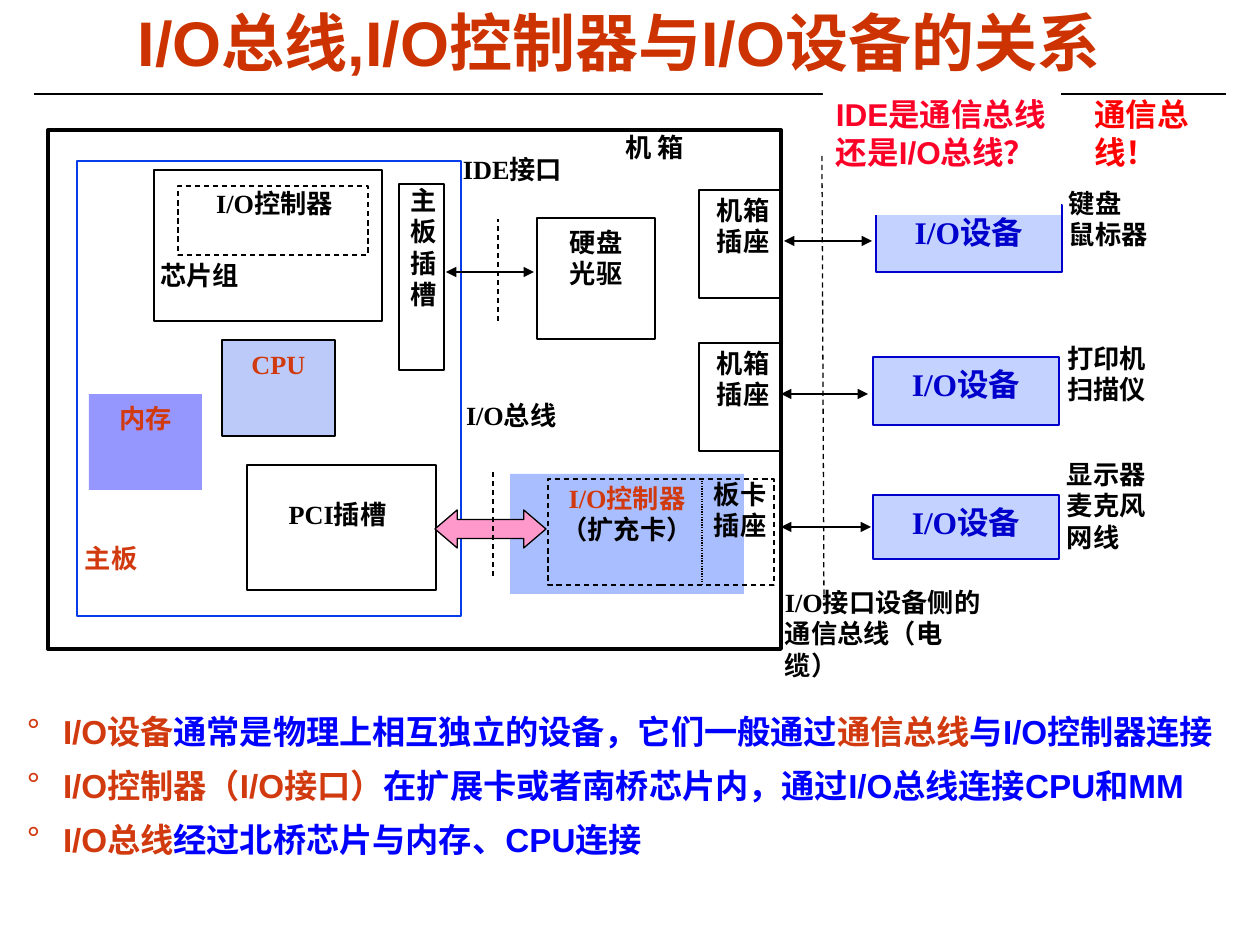
import lxml.etree
import pptx
import pptx.dml.color
import pptx.enum.dml
import pptx.enum.shapes
import pptx.enum.text
import pptx.oxml.ns
import pptx.util

EMU_PER_PX = 914400 / 126
COLORS = {
    "black": "000000", "white": "FFFFFF", "title": "CC3300", "rust": "D1390F",
    "body": "0000FF", "navy": "0000CC", "royal": "063DE8", "sky": "3366FF",
    "pink": "FF99CC", "crimson": "FC0128", "red": "FF0000",
}
SERIF, SANS, CJK = "Times New Roman", "Arial", "Noto Sans CJK SC"
ALIGN = pptx.enum.text.PP_ALIGN
ANCHOR = pptx.enum.text.MSO_ANCHOR
SHAPE = pptx.enum.shapes.MSO_SHAPE
DASH = pptx.enum.dml.MSO_LINE.DASH
DOT = pptx.enum.dml.MSO_LINE.ROUND_DOT


def px(value):
    return pptx.util.Emu(round(value * EMU_PER_PX))


def rgb(name):
    return pptx.dml.color.RGBColor.from_string(COLORS[name])


def add_xml(parent, tag, **attributes):
    return lxml.etree.SubElement(parent, pptx.oxml.ns.qn(tag), attributes)


class Diagram:
    """Holds the text style and the slide being drawn on."""

    def __init__(self, slide):
        self.slide = slide
        self.size = 15
        self.insets = (16, 8)

    def set_text(self, shape, paragraphs, align, size=None, font=SERIF, insets=None,
                 space=0, anchor=ANCHOR.TOP, line_spacing=1.0, bullet=None):
        """Fill a shape with paragraphs, each a list of (text, color) runs."""
        frame = shape.text_frame
        frame.word_wrap = True
        frame.auto_size = pptx.enum.text.MSO_AUTO_SIZE.NONE
        frame.vertical_anchor = anchor
        side, top = insets or self.insets
        frame.margin_left = frame.margin_right = px(side)
        frame.margin_top = frame.margin_bottom = px(top)
        for index, runs in enumerate(paragraphs):
            paragraph = frame.add_paragraph() if index else frame.paragraphs[0]
            if bullet:
                self.bullet(paragraph, bullet)
            paragraph.alignment = align
            paragraph.line_spacing = line_spacing
            paragraph.space_before = pptx.util.Pt(space if index else 0)
            for text, color in runs:
                run = paragraph.add_run()
                run.text = text
                run.font.size = pptx.util.Pt(size or self.size)
                run.font.bold = True
                run.font.color.rgb = rgb(color)
                run.font.name = font
                add_xml(run.font._element, "a:ea", typeface=CJK)

    def bullet(self, paragraph, color):
        properties = paragraph._p.get_or_add_pPr()
        indent = px(36)
        properties.set("marL", str(indent))
        properties.set("indent", str(-indent))
        fill = add_xml(properties, "a:buClr")
        add_xml(fill, "a:srgbClr", val=COLORS[color])
        add_xml(properties, "a:buFont", typeface=SANS)
        add_xml(properties, "a:buChar", char="°")

    def placeholder(self, shape, box, paragraphs, align, **style):
        shape.left, shape.top, shape.width, shape.height = map(px, box)
        self.set_text(shape, paragraphs, align, font=SANS, insets=(9, 4), **style)

    def label(self, box, lines, color="black", align=ALIGN.JUSTIFY, **style):
        shape = self.slide.shapes.add_textbox(*map(px, box))
        self.set_text(shape, [[(line, color)] for line in lines], align, **style)

    def box(self, box, fill=None, alpha=None, line="black", width=0.75, dash=None,
            kind=SHAPE.RECTANGLE):
        shape = self.slide.shapes.add_shape(kind, *map(px, box))
        shape.shadow.inherit = False
        if fill:
            shape.fill.solid()
            shape.fill.fore_color.rgb = rgb(fill)
            if alpha:
                color = shape.fill._xPr.find(".//" + pptx.oxml.ns.qn("a:srgbClr"))
                add_xml(color, "a:alpha", val=str(alpha * 1000))
        else:
            shape.fill.background()
        if line:
            self.stroke(shape.line, line, width, dash)
        else:
            shape.line.fill.background()
        return shape

    def stroke(self, line, color, width, dash):
        line.color.rgb = rgb(color)
        line.width = pptx.util.Pt(width)
        if dash:
            line.dash_style = dash

    def line(self, start, end, width=0.75, dash=None, arrows=False):
        connector = self.slide.shapes.add_connector(
            pptx.enum.shapes.MSO_CONNECTOR.STRAIGHT, *map(px, start + end))
        self.stroke(connector.line, "black", width, dash)
        if arrows:
            for tag in ("a:headEnd", "a:tailEnd"):
                add_xml(connector.line._ln, tag, type="triangle")
        add_xml(connector._element.spPr, "a:effectLst")

    def device(self, top, height, left, arrow):
        """Draw an external device and the cable that reaches it."""
        shape = self.box((left, top, 186, height), "sky", 29, "navy", 1.5)
        self.set_text(shape, [[("I/O设备", "navy")]], ALIGN.CENTER, size=18)
        start, end, y = arrow
        self.line((start, y), (end, y), 1, arrows=True)

    def socket(self, top):
        self.label((683, top - 4, 120, 120), ["机箱", "插座"], align=ALIGN.CENTER)
        self.box((699, top, 82, 108))


def draw_motherboard(diagram):
    diagram.box((77, 161, 384, 455), line="royal", width=1.5)
    diagram.label((69, 534, 125, 91), ["主板"], "rust")
    cpu = diagram.box((222, 340, 113, 96), "royal", 27)
    memory = diagram.box((89, 394, 113, 96), "body", 41, line=None)
    for shape, name in ((cpu, "CPU"), (memory, "内存")):
        diagram.set_text(shape, [[(name, "rust")]], ALIGN.CENTER)
    diagram.box((154, 170, 228, 151))
    diagram.label((144, 251, 159, 96), ["芯片组"])
    diagram.label((155, 179, 239, 82), ["I/O控制器"], align=ALIGN.CENTER)
    diagram.box((178, 186, 190, 69), dash=DASH)
    diagram.label((221, 490, 233, 111), ["PCI插槽"], align=ALIGN.CENTER)
    diagram.box((247, 465, 189, 125))
    diagram.label((384, 176, 79, 205), ["主板插槽"], align=ALIGN.CENTER)
    diagram.box((399, 184, 45, 186))


def draw_chassis(diagram):
    diagram.box((48, 130, 733, 519), width=2.25)
    diagram.label((609, 111, 134, 96), ["机 箱"], line_spacing=1.4)
    disk = diagram.box((537, 218, 118, 121), "white")
    diagram.set_text(disk, [[("硬盘", "black")], [("光驱", "black")]], ALIGN.CENTER)
    card = diagram.box((510, 474, 234, 120), "sky", 42, line=None)
    diagram.set_text(card, [[("I/O控制器", "rust")], [("（扩充卡）", "black")]], ALIGN.CENTER)
    diagram.box((548, 479, 226, 106), dash=DASH)
    diagram.label((680, 470, 120, 120), ["板卡", "插座"], align=ALIGN.CENTER)
    diagram.line((702, 478), (702, 585), dash=DOT)
    for top in (190, 343):
        diagram.socket(top)


def draw_buses(diagram):
    bus = diagram.box((435, 510, 111, 38), "pink", kind=SHAPE.LEFT_RIGHT_ARROW)
    bus.adjustments[0], bus.adjustments[1] = 0.5, 0.585
    diagram.line((446, 272), (534, 272), 1, arrows=True)
    for start, end in (((822, 156), (824, 600)), ((493, 576), (493, 472)),
                       ((498, 321), (498, 219))):
        diagram.line(start, end, dash=DASH)
    diagram.label((447, 145, 175, 87), ["IDE接口"])
    diagram.label((450, 391, 169, 87), ["I/O总线"])
    diagram.label((769, 578, 228, 131), ["I/O接口设备侧的通信总线（电缆）"], align=ALIGN.LEFT)


def draw_devices(diagram):
    diagram.device(205, 67, 876, (784, 872, 241))
    diagram.device(357, 68, 873, (781, 868, 394))
    diagram.device(495, 64, 873, (781, 871, 527))
    diagram.label((1053, 179, 165, 137), ["键盘", "鼠标器"])
    diagram.label((1051, 334, 169, 125), ["打印机", "扫描仪"])
    diagram.label((1051, 450, 165, 158), ["显示器", "麦克风", "网线"])


def main():
    presentation = pptx.Presentation()
    presentation.slide_width, presentation.slide_height = px(1260), px(945)
    slide = presentation.slides.add_slide(presentation.slide_layouts[1])
    diagram = Diagram(slide)
    title, body = slide.placeholders
    diagram.placeholder(title, (59, 14, 1120, 68),
                        [[("I/O总线,I/O控制器与I/O设备的关系", "title")]], ALIGN.CENTER,
                        size=36, line_spacing=0.8, anchor=ANCHOR.MIDDLE)
    points = [
        [("I/O设备", "rust"), ("通常是物理上相互独立的设备，它们一般通过", "body"),
         ("通信总线", "rust"), ("与I/O控制器连接", "body")],
        [("I/O控制器（I/O接口）", "rust"),
         ("在扩展卡或者南桥芯片内，通过I/O总线连接CPU和MM", "body")],
        [("I/O总线", "rust"), ("经过北桥芯片与内存、CPU连接", "body")],
    ]
    diagram.placeholder(body, (18, 707, 1222, 236), points, ALIGN.LEFT,
                        size=19, space=8.2, bullet="rust")
    diagram.line((34, 94), (1226, 94), 1.5)
    draw_motherboard(diagram)
    draw_chassis(diagram)
    draw_buses(diagram)
    draw_devices(diagram)
    question = diagram.box((823, 89, 238, 126), "white", line=None)
    diagram.set_text(question, [[("IDE是通信总线还是I/O总线？", "crimson")]], ALIGN.LEFT,
                     size=18, font=SANS, insets=(13, 6))
    diagram.label((1081, 89, 122, 88), ["通信总线！"], "red", ALIGN.LEFT,
                  size=18, font=CJK, insets=(13, 6))
    presentation.save("out.pptx")


if __name__ == "__main__":
    main()
